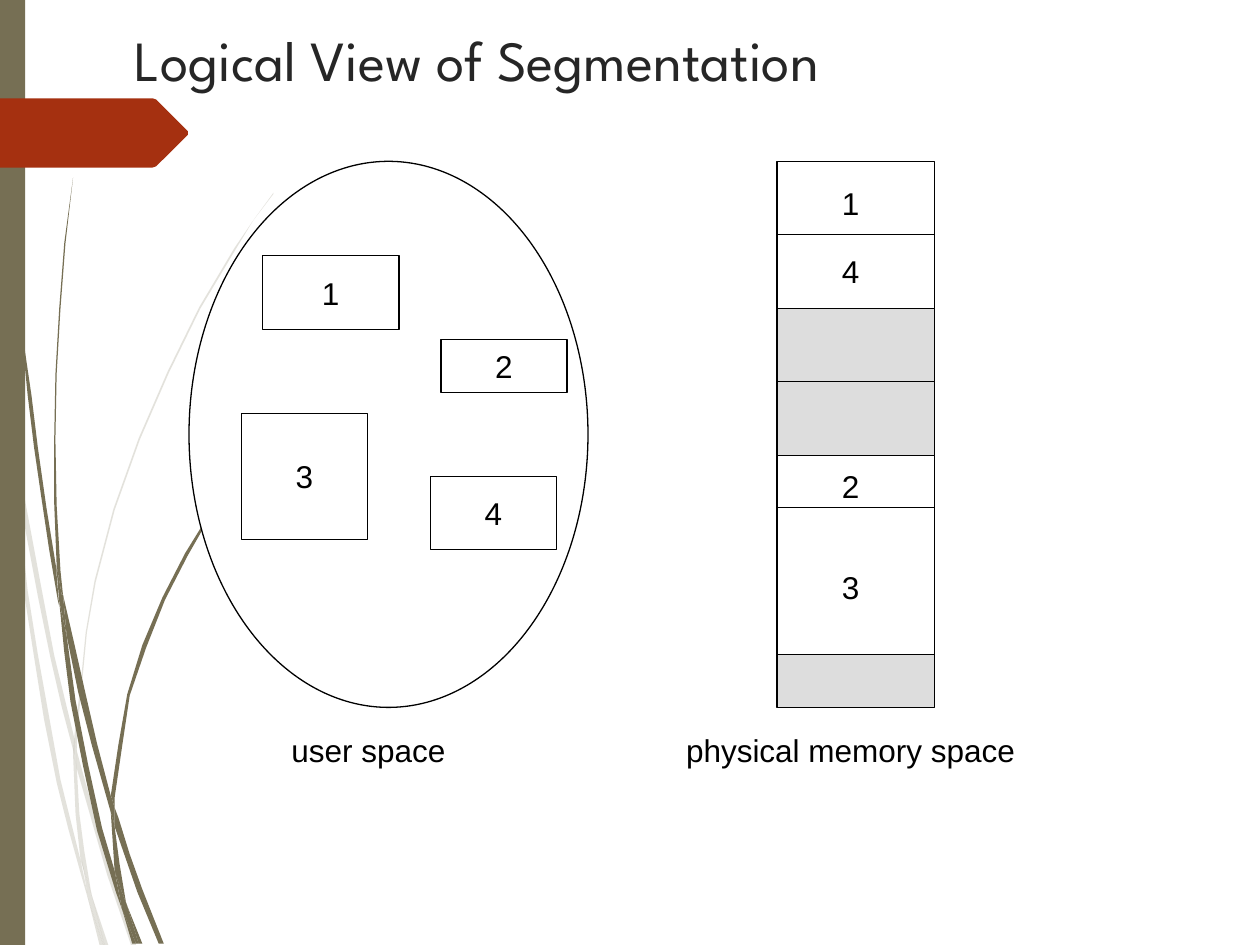
from itertools import accumulate

from lxml.etree import SubElement
from pptx import Presentation
from pptx.dml.color import RGBColor
from pptx.enum.shapes import MSO_CONNECTOR as LINE, MSO_SHAPE as SHAPE
from pptx.enum.text import MSO_ANCHOR as ANCHOR, PP_ALIGN as ALIGN
from pptx.oxml.ns import qn
from pptx.util import Pt

OLIVE, RED, WHITE, GRAY, BLACK, DARK = "766F54", "A53010", "FFFFFF", "DDDDDD", "000000", "262626"
GRID = 0.72

PALE_WISPS = [
    [8, 350, 6, 322, 0, 282, 0, 299, 7, 344],
    [40, 522, 59, 599, 59, 586, 43, 520, 10, 345, 12, 376],
    [64, 607, 61, 596, 61, 610, 85, 694, 104, 750, 108, 750, 88, 692],
    [83, 750, 86, 750, 73, 711],
    [64, 683, 48, 619, 22, 469, 12, 376, 8, 350, 19, 470, 45, 621, 64, 693, 70, 714, 69, 707],
    [58, 599, 60, 646, 64, 683, 67, 692, 73, 711, 72, 706, 63, 646, 61, 610, 61, 608],
    [61, 584, 76, 462, 111, 349, 159, 245, 187, 198, 201, 175, 217, 154, 217, 153,
     201, 175, 186, 197, 158, 244, 110, 348, 75, 461, 59, 584, 59, 586, 61, 596],
    [70, 714, 79, 750, 82, 750],
    [61, 608, 61, 610, 61, 596, 59, 586, 58, 599],
    [67, 692, 65, 683, 69, 707, 70, 714, 82, 750, 83, 750, 73, 711],
]
DARK_WISPS = [
    [5, 110, 14, 233, 27, 355, 46, 477, 47, 481, 45, 457, 45, 453, 30, 355, 15, 232,
     6, 109, 4, 48, 3, 0, 2, 0, 3, 48],
    [73, 592, 88, 645, 88, 632, 77, 590, 50, 472, 53, 505],
    [94, 649, 91, 641, 91, 656, 109, 708, 126, 749, 130, 749, 113, 706],
    [91, 691, 81, 657, 60, 556, 53, 505, 47, 477, 56, 557, 77, 659, 92, 708, 97, 722, 96, 717],
    [50, 472, 48, 453, 44, 349, 48, 245, 52, 193, 58, 141, 51, 193, 47, 245, 43, 349,
     45, 449, 49, 472],
    [110, 749, 113, 749, 101, 719],
    [47, 477, 53, 505, 50, 472, 49, 472, 45, 449, 45, 453],
    [91, 633, 103, 552, 131, 476, 169, 406, 191, 374, 203, 359, 216, 344, 215, 344,
     203, 358, 191, 373, 168, 405, 129, 474, 101, 551, 88, 631, 91, 641],
    [97, 722, 105, 749, 108, 749],
    [88, 645, 91, 691, 96, 706, 101, 719, 100, 716, 91, 656, 90, 651],
    [88, 645, 90, 651, 91, 656, 91, 641, 88, 631],
    [96, 706, 91, 691, 96, 717, 97, 722, 108, 749, 110, 749, 101, 719],
]
ARROW = [0, 78, 121, 78, 124, 79, 149, 104, 149, 107, 124, 132, 121, 133, 0, 133]


def rgb(color):
    """Turn a hex string into a colour."""
    return RGBColor.from_string(color)


def put_text(sp, text, size=18, font="Arial", color=BLACK, align=ALIGN.CENTER,
             anchor=ANCHOR.MIDDLE, wrap=False):
    """Write one formatted paragraph into a shape."""
    tf = sp.text_frame
    tf.word_wrap, tf.vertical_anchor = wrap, anchor
    p = tf.paragraphs[0]
    p.alignment = align
    r = p.add_run()
    r.text = text
    r.font.size, r.font.name, r.font.color.rgb = Pt(size), font, rgb(color)


def direction(a, b):
    """Return the unit vector from one point to another."""
    return (b - a) / abs(b - a)


def tangent(a, b, c, side):
    """Return the direction at b, or that of its own side at a sharp corner."""
    bend = (direction(a, b) * direction(b, c).conjugate()).real
    return direction(a, c) if bend > 0.98 else side


def smooth_outline(flat, span=60):
    """Curve the long sides of a closed outline, keeping sharp corners."""
    pts = [complex(x, y) for x, y in zip(flat[::2], flat[1::2])]
    n = len(pts)
    outline = []
    for i in range(n):
        before, a, b, after = (pts[(i + k) % n] for k in (-1, 0, 1, 2))
        length, side = abs(b - a), direction(a, b)
        m0 = length * tangent(before, a, b, side)
        m1 = length * tangent(a, b, after, side)
        steps = 1 + int(length // span)
        for t in (k / steps for k in range(steps)):
            z = ((2 * t**3 - 3 * t**2 + 1) * a + (t**3 - 2 * t**2 + t) * m0
                 + (3 * t**2 - 2 * t**3) * b + (t**3 - t**2) * m1)
            outline.append((z.real, z.imag))
    return outline


class Canvas:
    """Draws styled elements on the current slide."""

    def __init__(self, slide, line_width=0.75):
        self.shapes, self.line_width = slide.shapes, line_width

    def paint(self, sp, fill, line=None):
        sp.shadow.inherit = False
        sp.fill.solid()
        sp.fill.fore_color.rgb = rgb(fill)
        if line:
            sp.line.color.rgb, sp.line.width = rgb(line), Pt(self.line_width)
        else:
            sp.line.fill.background()

    def shape(self, kind, x, y, w, h, fill=WHITE, line=BLACK, text=None):
        s = self.shapes.add_shape(kind, Pt(x), Pt(y), Pt(w), Pt(h))
        self.paint(s, fill, line)
        if text:
            put_text(s, text)

    def outline(self, flat, fill, alpha=None):
        start, *rest = smooth_outline(flat)
        builder = self.shapes.build_freeform(*start, scale=Pt(GRID))
        builder.add_line_segments(rest, close=True)
        s = builder.convert_to_shape()
        self.paint(s, fill)
        if alpha:
            clr = s._element.spPr.find(qn("a:solidFill"))[0]
            SubElement(clr, qn("a:alpha")).set("val", str(alpha * 1000))

    def rule(self, x1, y, x2):
        c = self.shapes.add_connector(LINE.STRAIGHT, Pt(x1), Pt(y), Pt(x2), Pt(y))
        c.line.color.rgb, c.line.width = rgb(BLACK), Pt(self.line_width)
        SubElement(c._element.spPr, qn("a:effectLst"))

    def text(self, x, y, w, h, text, **style):
        put_text(self.shapes.add_textbox(Pt(x), Pt(y), Pt(w), Pt(h)), text, **style)


def main():
    """Build the slide and save it."""
    prs = Presentation()
    prs.slide_width, prs.slide_height = Pt(720), Pt(540)
    c = Canvas(prs.slides.add_slide(prs.slide_layouts[6]))

    for wisp in PALE_WISPS:
        c.outline(wisp, OLIVE, alpha=20)
    for wisp in DARK_WISPS:
        c.outline(wisp, OLIVE)
    c.shape(SHAPE.RECTANGLE, 0, 0, 14.4, 540, OLIVE, None)
    c.outline(ARROW, RED)
    c.text(69.8, 10.8, 614, 45.4, "Logical View of Segmentation", size=32.4,
           font="League Spartan", color=DARK, align=ALIGN.LEFT, anchor=ANCHOR.TOP, wrap=True)

    c.shape(SHAPE.OVAL, 108, 92.2, 228, 312)
    for name, x, y, w, h in [("1", 150, 146.2, 78, 42), ("3", 138, 236.2, 72, 72),
                             ("2", 252, 194.2, 72, 30), ("4", 246, 272.2, 72, 42)]:
        c.shape(SHAPE.RECTANGLE, x, y, w, h, text=name)

    left, top, width = 444, 92.2, 90
    heights = [84, 84, 114, 30]
    tops = accumulate(heights[:-1], initial=top)
    for y, h, fill in zip(tops, heights, [WHITE, GRAY] * 2):
        c.shape(SHAPE.RECTANGLE, left, y, width, h, fill)
    for offset in (42, 126, 198):
        c.rule(left, top + offset, left + width)
    for name, y in [("1", 101.5), ("4", 140.4), ("2", 263.5), ("3", 321.1)]:
        c.text(473.8, y, 24.5, 28.8, name)

    for caption, x, w in [("user space", 156, 109), ("physical memory space", 383.8, 204.5)]:
        c.text(x, 414, w, 28.8, caption)
    prs.save("out.pptx")


if __name__ == "__main__":
    main()
